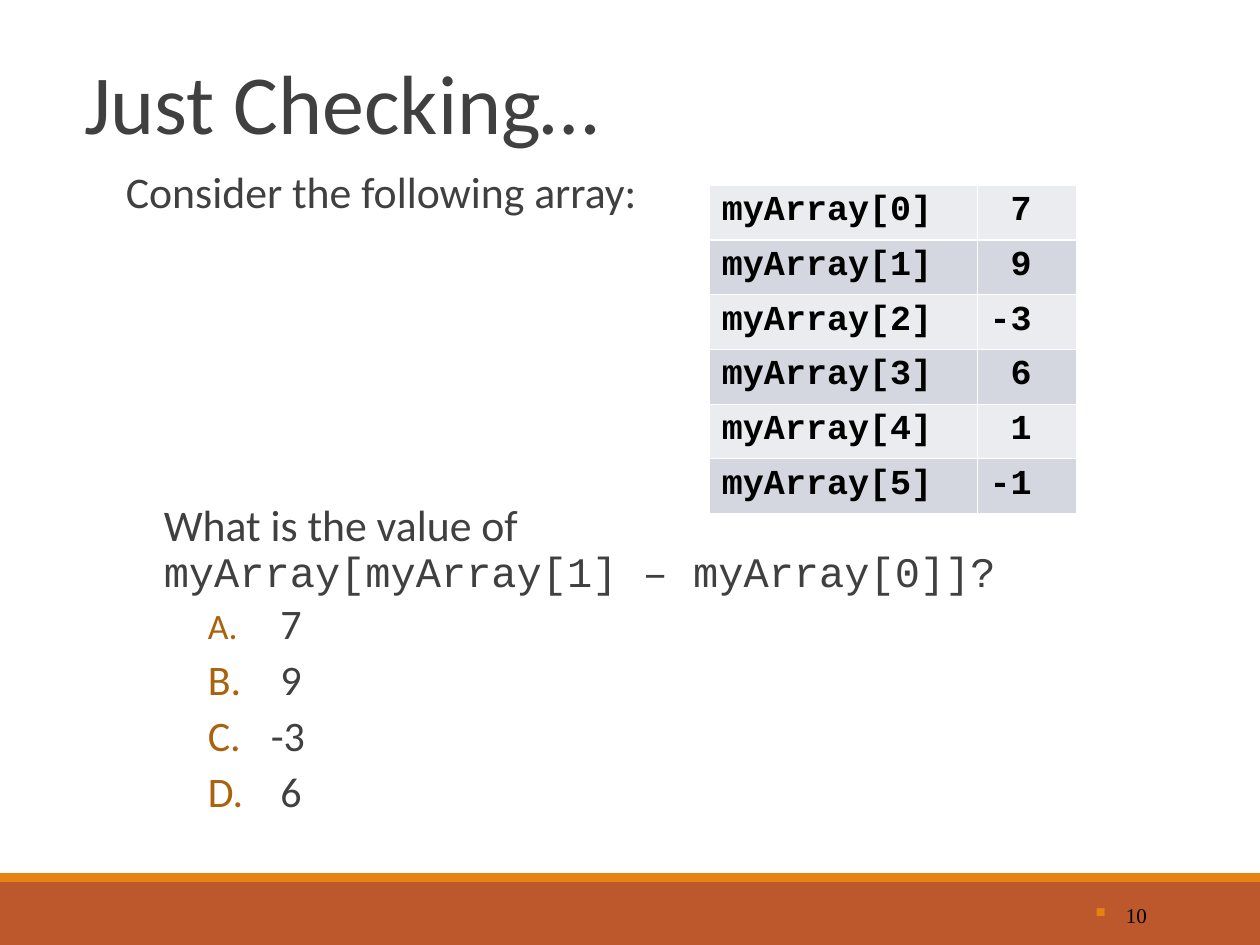
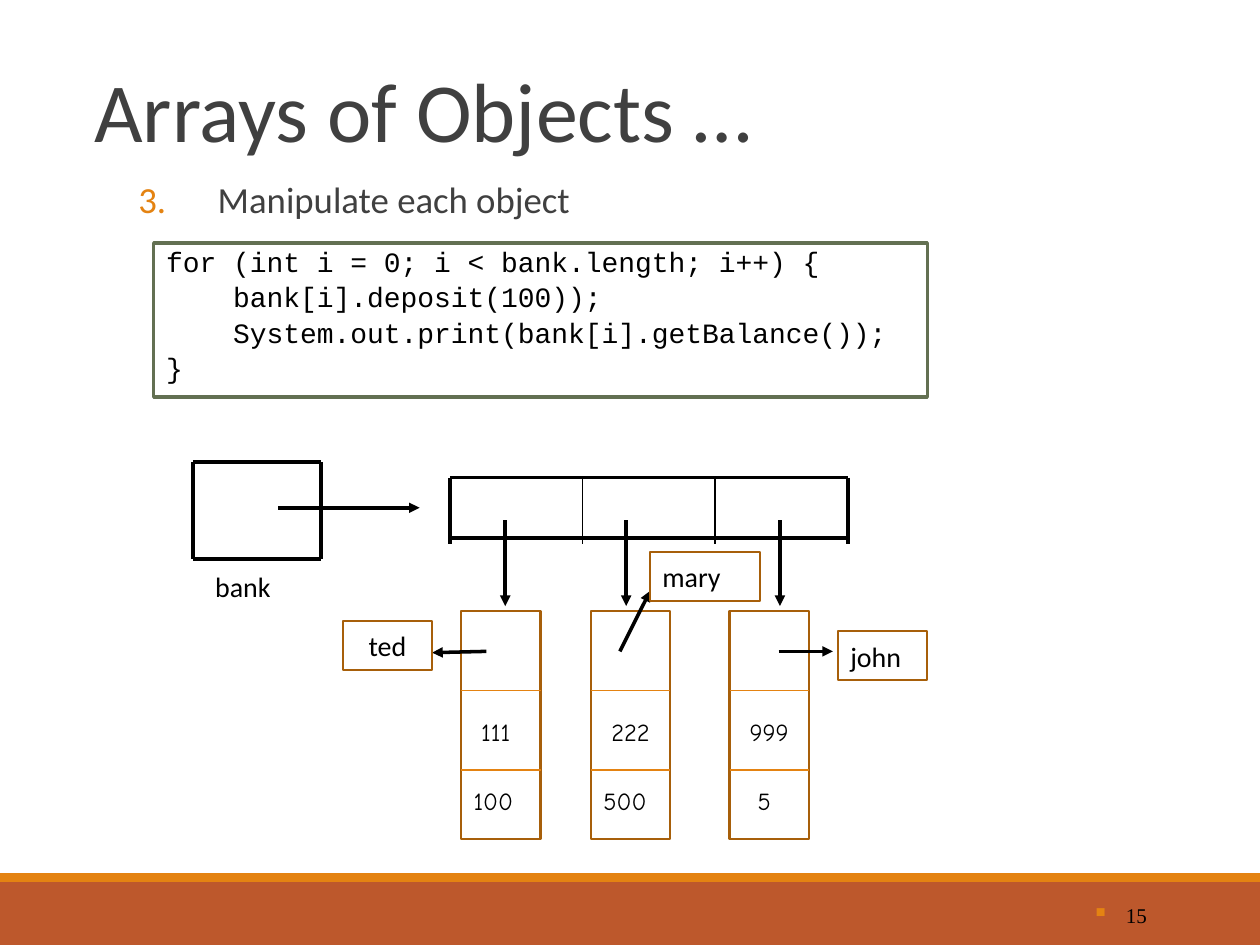
from collections import namedtuple

from lxml import etree
from pptx import Presentation
from pptx.dml.color import RGBColor
from pptx.enum.shapes import MSO_CONNECTOR, MSO_SHAPE
from pptx.enum.text import MSO_ANCHOR, PP_ALIGN
from pptx.oxml.ns import qn
from pptx.util import Inches, Pt

RECTANGLE = MSO_SHAPE.RECTANGLE
STRAIGHT = MSO_CONNECTOR.STRAIGHT
TOP, MIDDLE, BOTTOM = MSO_ANCHOR.TOP, MSO_ANCHOR.MIDDLE, MSO_ANCHOR.BOTTOM
LEFT, CENTER, RIGHT = PP_ALIGN.LEFT, PP_ALIGN.CENTER, PP_ALIGN.RIGHT

WIDTH, HEIGHT = Inches(10), Inches(7.5)
COLUMN, ROW = WIDTH / 100, HEIGHT / 75

BLACK = RGBColor(0x00, 0x00, 0x00)
WHITE = RGBColor(0xFF, 0xFF, 0xFF)
GRAY = RGBColor(0x40, 0x40, 0x40)
RUST = RGBColor(0xBD, 0x58, 0x2C)
ORANGE = RGBColor(0xE4, 0x83, 0x12)
BROWN = RGBColor(0xA7, 0x5F, 0x0A)
LETTER_BROWN = RGBColor(0xAB, 0x62, 0x0E)
GREEN = RGBColor(0x63, 0x70, 0x52)
BAND_COLORS = (RGBColor(0xEB, 0xEC, 0xF0), RGBColor(0xD5, 0xD7, 0xE0))

SANS, MONO, SERIF, COMIC = "Calibri", "Courier New", "Times New Roman", "Comic Neue"

Box = namedtuple("Box", "left top width height")
Bullet = namedtuple("Bullet", "tag attributes color percent margin hang")


def inside(box, left, top, width, height):
    """Return a box given in grid units from the corner of another box."""
    return Box(box.left + left, box.top + top, width, height)


def emu(box):
    """Convert a grid box to slide lengths."""
    return (round(box.left * COLUMN), round(box.top * ROW),
            round(box.width * COLUMN), round(box.height * ROW))


def add_bullet(paragraph, bullet):
    """Give a paragraph its marker and hanging indent."""
    properties = paragraph._p.get_or_add_pPr()
    properties.set("marL", str(Inches(bullet.margin)))
    properties.set("indent", str(-Inches(bullet.hang)))
    color = etree.SubElement(properties, qn("a:buClr"))
    etree.SubElement(color, qn("a:srgbClr"), val=str(bullet.color))
    etree.SubElement(properties, qn("a:buSzPct"), val=str(bullet.percent * 1000))
    etree.SubElement(properties, qn(bullet.tag), **bullet.attributes)


def write(frame, text, font=SANS, size=16, color=BLACK, bold=False, align=LEFT,
          line=1.0, before=0, after=0, bullet=None, same_paragraph=False):
    """Add a formatted paragraph, or a new line in the last paragraph."""
    paragraph = frame.paragraphs[-1]
    if same_paragraph:
        paragraph.add_line_break()
    else:
        if paragraph.runs:
            paragraph = frame.add_paragraph()
            paragraph.space_before = Pt(before)
        if bullet:
            add_bullet(paragraph, bullet)
        paragraph.alignment = align
        paragraph.line_spacing = line
        paragraph.space_after = Pt(after)
    run = paragraph.add_run()
    run.text = text
    run.font.name, run.font.size, run.font.bold = font, Pt(size), bold
    run.font.color.rgb = color


def text_frame(slide, box, anchor=TOP, wrap=True):
    """Place an empty text box and return its frame."""
    frame = slide.shapes.add_textbox(*emu(box)).text_frame
    frame.word_wrap = wrap
    frame.vertical_anchor = anchor
    return frame


def rectangle(slide, box, fill=None, border=None, weight=1.25):
    """Draw a plain rectangle and return its text frame."""
    shape = slide.shapes.add_shape(RECTANGLE, *emu(box))
    shape.shadow.inherit = False
    if fill:
        shape.fill.solid()
        shape.fill.fore_color.rgb = fill
    else:
        shape.fill.background()
    if border:
        shape.line.color.rgb = border
        shape.line.width = Pt(weight)
    else:
        shape.line.fill.background()
    frame = shape.text_frame
    frame.word_wrap = True
    return frame


def connect(slide, box, start, end, color=BLACK, weight=2.0, arrow=False):
    """Draw a line between two points measured from a box corner."""
    points = [round(value) for x, y in (start, end)
              for value in ((box.left + x) * COLUMN, (box.top + y) * ROW)]
    connector = slide.shapes.add_connector(STRAIGHT, *points)
    connector.line.color.rgb = color
    connector.line.width = Pt(weight)
    if arrow:
        etree.SubElement(connector.line._get_or_add_ln(), qn("a:tailEnd"), type="triangle")
    etree.SubElement(connector._element.spPr, qn("a:effectLst"))


def draw_footer(slide, box, number):
    """Draw the two bottom bands and the page number."""
    rectangle(slide, inside(box, 0, 0.7, box.width, box.height - 0.7), RUST)
    rectangle(slide, inside(box, 0, 0, box.width, 0.7), ORANGE)
    square = Bullet("a:buChar", {"char": "■"}, ORANGE, 65, 0.24, 0.24)
    write(text_frame(slide, inside(box, 81.2, 1.3, 10.8, 4), MIDDLE), number,
          font=SERIF, size=12, align=RIGHT, bullet=square)


def start_slide(deck, title, title_box, anchor, number):
    """Add a slide with the shared footer and title style."""
    slide = deck.slides.add_slide(deck.slide_layouts[6])
    draw_footer(slide, Box(0, 69.3, 100, 5.7), number)
    write(text_frame(slide, title_box, anchor), title, size=48, color=GRAY, line=0.85)
    return slide


def draw_border(cell, top, bottom):
    """Give a table cell white borders."""
    properties = cell._tc.get_or_add_tcPr()
    weights = {"a:lnL": 0.45, "a:lnR": 0.45, "a:lnT": top, "a:lnB": bottom}
    for position, (tag, weight) in enumerate(weights.items()):
        edge = etree.Element(qn(tag), w=str(Pt(weight)))
        fill = etree.SubElement(edge, qn("a:solidFill"))
        etree.SubElement(fill, qn("a:srgbClr"), val=str(WHITE))
        properties.insert(position, edge)


def draw_array_table(slide, box, values):
    """List each array element beside its value."""
    table = slide.shapes.add_table(len(values), 2, *emu(box)).table
    table.first_row = table.horz_banding = False
    table.columns[0].width = round(box.width * 0.73 * COLUMN)
    table.columns[1].width = round(box.width * 0.27 * COLUMN)
    for index, value in enumerate(values):
        for cell, text in zip(table.rows[index].cells, (f"myArray[{index}]", value)):
            cell.fill.solid()
            cell.fill.fore_color.rgb = BAND_COLORS[index % 2]
            draw_border(cell, 1.47 if index == 1 else 0.45, 1.47 if index == 0 else 0.45)
            write(cell.text_frame, text, font=MONO, size=20, bold=True)


def draw_question(slide, box, answers):
    """Write the question with its lettered answers."""
    frame = text_frame(slide, box)
    frame.margin_left = frame.margin_right = 0
    write(frame, "What is the value of", size=25, color=GRAY, line=0.9, after=2)
    write(frame, "myArray[myArray[1] – myArray[0]]?", font=MONO, size=24,
          color=GRAY, same_paragraph=True)
    for index, answer in enumerate(answers):
        letter = Bullet("a:buAutoNum", {"type": "alphaUcPeriod"}, LETTER_BROWN,
                        100 if index else 85, 0.85, 0.5)
        write(frame, answer, size=24, color=GRAY, line=0.9, before=2, after=4, bullet=letter)


def draw_cells(slide, box, count, overhang=0):
    """Draw a row of memory cells from heavy outer and light inner lines."""
    for y in (0, box.height):
        connect(slide, box, (0, y), (box.width, y), weight=2.25)
    for edge in range(count + 1):
        x = box.width * edge / count
        connect(slide, box, (x, 0), (x, box.height + overhang),
                weight=2.25 if edge in (0, count) else 1)


def draw_bank(slide, box):
    """Draw the bank variable pointing to its array."""
    draw_cells(slide, box, 1)
    connect(slide, box, (6.8, 3.6), (18, 3.6), arrow=True)
    write(text_frame(slide, inside(box, 0.8, 7.9, 7.1, 3.9), MIDDLE), "bank")


def draw_array(slide, box):
    """Draw the array with an arrow from each element."""
    draw_cells(slide, box, 3, overhang=0.5)
    for x in (4.4, 14, 26.2):
        connect(slide, box, (x, 3.4), (x, 10.2), arrow=True)


def draw_account(slide, box, account, account_width, balance, balance_align):
    """Draw one account object with its number and balance."""
    rectangle(slide, box, border=BROWN)
    for y in (6.3, 12.6):
        connect(slide, box, (0, y), (box.width, y), color=ORANGE, weight=1)
    number_frame = text_frame(slide, inside(box, 0, 7.9, account_width, 3.4), wrap=False)
    write(number_frame, account, font=COMIC, size=14, align=CENTER)
    balance_frame = text_frame(slide, inside(box, 0, 13.4, 5.5, 3.4), wrap=False)
    write(balance_frame, balance, font=COMIC, size=14, align=balance_align)


def draw_owner(slide, box, name, align, start, end):
    """Draw an owner's name box and the arrow that reaches it."""
    connect(slide, box, start, end, arrow=True)
    frame = rectangle(slide, box, border=BROWN)
    frame.vertical_anchor = MIDDLE
    write(frame, name, align=align)


def draw_code(slide, box, lines):
    """Show the loop in a bordered box."""
    frame = rectangle(slide, box, WHITE, GREEN, 2)
    frame.vertical_anchor = TOP
    for line in lines:
        write(frame, line, font=MONO, line=0.85, before=4)


def build_quiz(deck):
    """Build the array question slide."""
    slide = start_slide(deck, "Just Checking…", Box(5.7, 0, 90, 12.5), BOTTOM, "10")
    intro = text_frame(slide, Box(10, 13.1, 45, 5))
    intro.margin_left = intro.margin_right = 0
    write(intro, "Consider the following array:", size=25, color=GRAY, line=0.9)
    draw_question(slide, Box(13, 39.5, 87, 27.5), (" 7", " 9", "-3", " 6"))
    draw_array_table(slide, Box(56.3, 14.7, 29.1, 26), (" 7", " 9", "-3", " 6", " 1", "-1"))


def build_objects(deck):
    """Build the slide on arrays of objects."""
    slide = start_slide(deck, "Arrays of Objects …", Box(6.5, 3, 90, 12.5), MIDDLE, "15")
    step = Bullet("a:buAutoNum", {"type": "arabicPeriod", "startAt": "3"}, ORANGE, 100, 0.63, 0.63)
    write(text_frame(slide, Box(10, 13.9, 90, 5)), "Manipulate each object",
          size=21, color=GRAY, line=0.9, bullet=step)
    draw_code(slide, Box(12.2, 19.3, 61.4, 12.2), (
        "for (int i = 0; i < bank.length; i++) {",
        "    bank[i].deposit(100));",
        "    System.out.print(bank[i].getBalance());",
        "}"))
    draw_bank(slide, Box(15.3, 36.7, 10.2, 7.7))
    draw_array(slide, Box(35.7, 37.9, 31.6, 4.8))
    accounts = ((36.6, "111", 5.5, "100", LEFT),
                (46.9, "222", 6.3, "500", LEFT),
                (57.9, "999", 6.3, "5", CENTER))
    for left, *details in accounts:
        draw_account(slide, Box(left, 48.5, 6.3, 18.1), *details)
    draw_owner(slide, Box(27.2, 49.3, 7.1, 3.9), "ted", CENTER, (11.4, 2.4), (7.1, 2.5))
    draw_owner(slide, Box(51.6, 43.8, 8.7, 3.9), "mary", LEFT, (-2.4, 7.9), (0, 3.1))
    draw_owner(slide, Box(66.5, 50.1, 7.1, 3.9), "john", LEFT, (-4.7, 1.6), (-0.4, 1.6))


def main():
    """Build and save the deck."""
    deck = Presentation()
    deck.slide_width, deck.slide_height = WIDTH, HEIGHT
    build_quiz(deck)
    build_objects(deck)
    deck.save("out.pptx")


if __name__ == "__main__":
    main()
